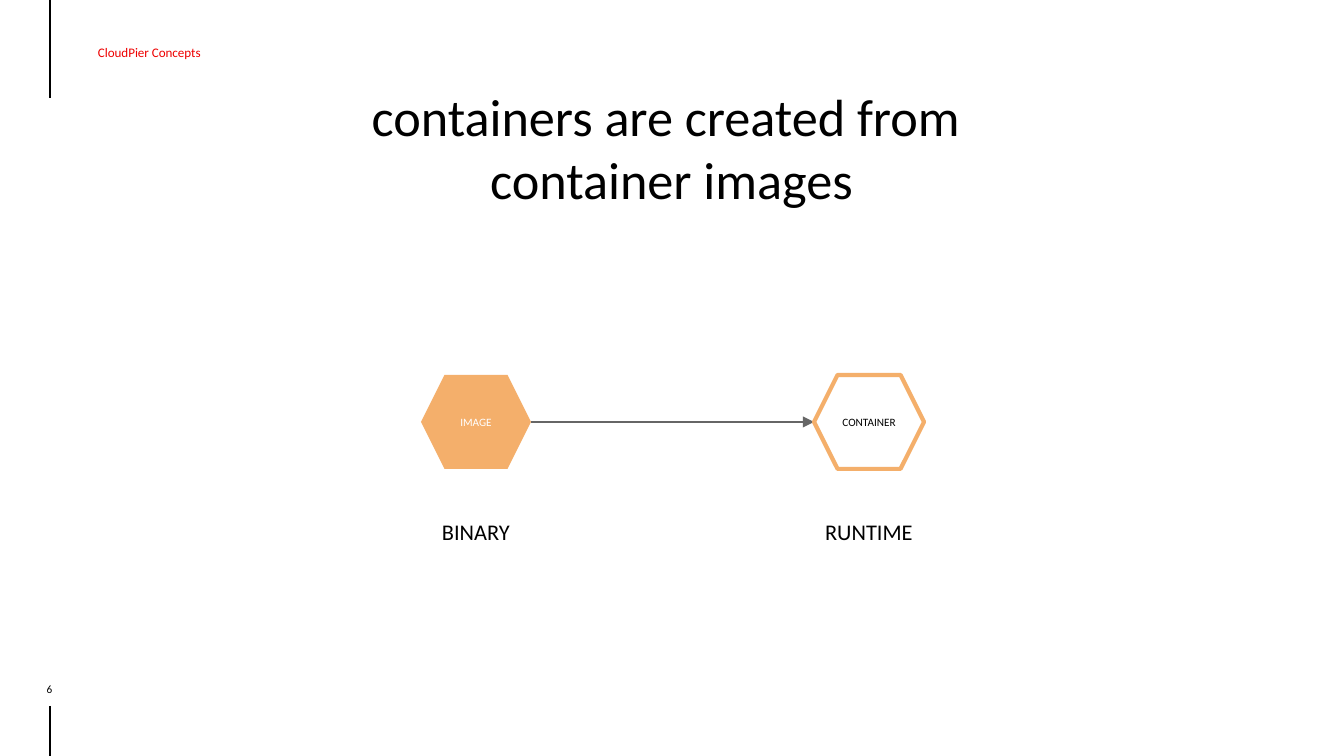
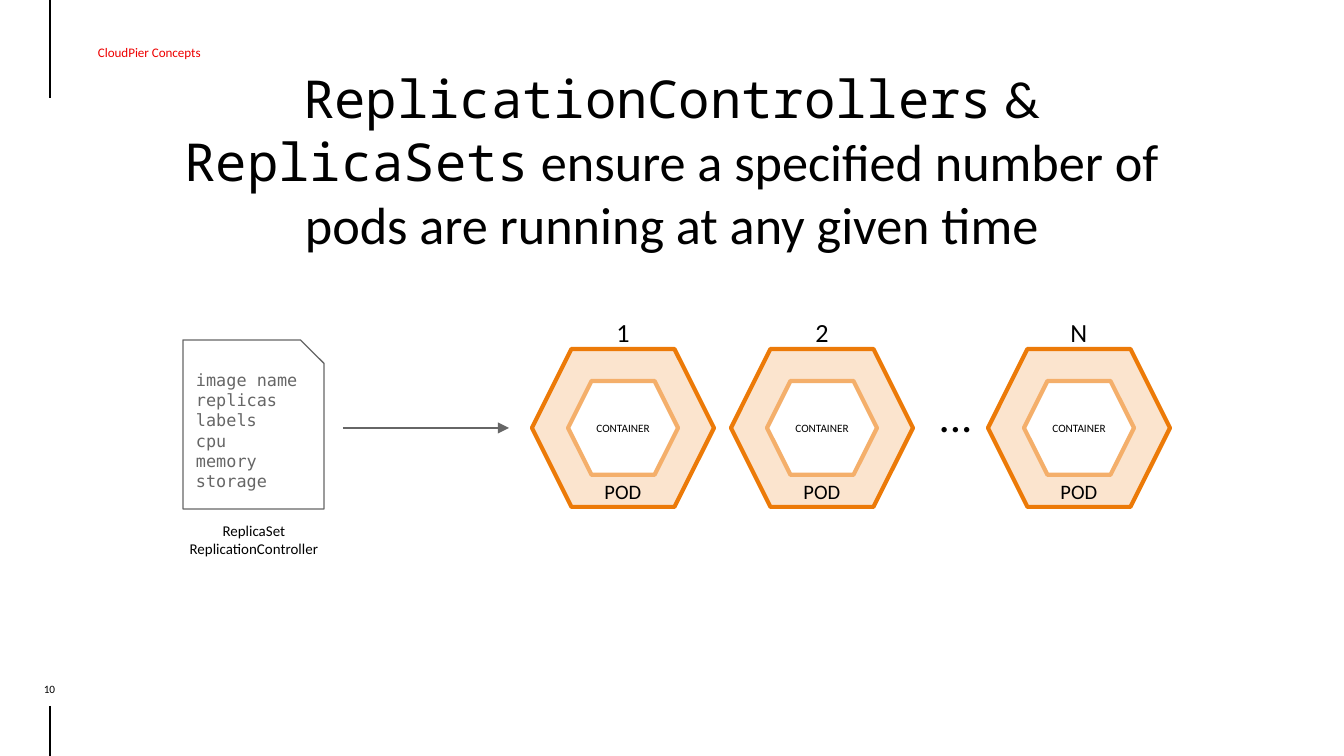
import pptx
import pptx.dml.color
import pptx.enum.shapes
import pptx.enum.text
import pptx.oxml
import pptx.oxml.ns
import pptx.util

SLIDE_W, SLIDE_H = 1344, 756
EMU_PER_PX = 9144000 / SLIDE_W

BLACK, WHITE, GREY = "000000", "FFFFFF", "666666"
RED, ORANGE, LIGHT_ORANGE, PALE_ORANGE = "EE0000", "EC7A08", "F4AF6B", "FBE4CE"
SANS, TITLE_MONO, CODE_MONO = "Calibri", "Noto Sans Mono", "DejaVu Sans Mono"

RULE_X = 50
PAD = 13
TITLE_LAYOUT = 5

SHAPE = pptx.enum.shapes.MSO_SHAPE
ANCHOR = pptx.enum.text.MSO_ANCHOR
ALIGN = pptx.enum.text.PP_ALIGN


def px(n):
    return pptx.util.Emu(round(n * EMU_PER_PX))


def rgb(value):
    return pptx.dml.color.RGBColor.from_string(value)


def format_font(font, size, color, name):
    font.size = pptx.util.Pt(size)
    font.color.rgb = rgb(color)
    font.name = name


def format_frame(tf, anchor, insets=(PAD,) * 4):
    """Insets run left, top, right, bottom."""
    tf.word_wrap = True
    tf.auto_size = pptx.enum.text.MSO_AUTO_SIZE.NONE
    tf.vertical_anchor = anchor
    tf.margin_left, tf.margin_top, tf.margin_right, tf.margin_bottom = map(px, insets)


def write(tf, text, size, color=BLACK, font=SANS, align=ALIGN.CENTER):
    tf.text = text
    for p in tf.paragraphs:
        p.alignment = align
        for r in p.runs:
            format_font(r.font, size, color, font)


def add_text(s, text, box, size, color=BLACK, align=ALIGN.CENTER,
             anchor=ANCHOR.MIDDLE, insets=(PAD,) * 4):
    tf = s.shapes.add_textbox(*map(px, box)).text_frame
    format_frame(tf, anchor, insets)
    write(tf, text, size, color, align=align)


def add_label(s, text, cx, cy, size, width=158, height=52):
    add_text(s, text, (cx - width // 2, cy - height // 2, width, height), size)


def add_line(s, x1, y1, x2, y2, color, arrow=False):
    line = s.shapes.add_connector(
        pptx.enum.shapes.MSO_CONNECTOR.STRAIGHT, px(x1), px(y1), px(x2), px(y2))
    line.line.color.rgb = rgb(color)
    line.line.width = pptx.util.Pt(0.75)
    if arrow:
        tail = pptx.oxml.parse_xml(
            f'<a:tailEnd {pptx.oxml.ns.nsdecls("a")} type="triangle"/>')
        line.line._get_or_add_ln().append(tail)
    effects = pptx.oxml.parse_xml(f'<a:effectLst {pptx.oxml.ns.nsdecls("a")}/>')
    line._element.spPr.append(effects)


def add_preset(s, kind, box, fill, outline, width):
    sp = s.shapes.add_shape(kind, *map(px, box))
    sp.shadow.inherit = False
    sp.fill.solid()
    sp.fill.fore_color.rgb = rgb(fill)
    if outline:
        sp.line.color.rgb = rgb(outline)
        sp.line.width = pptx.util.Pt(width)
    else:
        sp.line.fill.background()
    return sp


def add_hexagon(s, cx, cy, fill, outline=None, text="", color=BLACK, size=(110, 94)):
    w, h = size
    sp = add_preset(s, SHAPE.HEXAGON, (cx - w // 2, cy - h // 2, w, h),
                    fill, outline, 2.25)
    if text:
        format_frame(sp.text_frame, ANCHOR.MIDDLE, (0, 0, 0, 0))
        write(sp.text_frame, text, 6, color)


def add_container(s, cx, cy):
    add_hexagon(s, cx, cy, WHITE, LIGHT_ORANGE, "CONTAINER")


def add_pod(s, number, cx, cy):
    add_hexagon(s, cx, cy, PALE_ORANGE, ORANGE, size=(182, 158))
    add_container(s, cx, cy)
    add_label(s, "POD", cx, cy + 63, 11, 100)
    add_label(s, number, cx, cy - 96, 14, 102, 40)


def add_title(s, top, pieces):
    """Each piece is a text and its font; a newline in it is a line break."""
    title = s.shapes.title
    title.left, title.top, title.width, title.height = map(px, (121, top, 1101, 156))
    format_frame(title.text_frame, ANCHOR.BOTTOM)
    p = title.text_frame.paragraphs[0]
    p.alignment = ALIGN.CENTER
    for text, font in pieces:
        for i, line in enumerate(text.split("\n")):
            if i:
                p.add_line_break()
            r = p.add_run()
            r.text = line
            format_font(r.font, 28, BLACK, font)


def add_base_slide(prs, number, title_top, title):
    s = prs.slides.add_slide(prs.slide_layouts[TITLE_LAYOUT])
    for top, bottom in ((0, 98), (706, SLIDE_H)):
        add_line(s, RULE_X, top, RULE_X, bottom, BLACK)
    add_text(s, "CloudPier Concepts", (RULE_X, 7, 567, 90), 7, RED,
             align=ALIGN.LEFT, insets=(48, 9, 9, 9))
    add_text(s, number, (9, 680, 81, 16), 6, anchor=ANCHOR.BOTTOM, insets=(0, 0, 0, 0))
    add_title(s, title_top, title)
    return s


def build_image_slide(prs):
    s = add_base_slide(prs, "6", 67, [
        ("containers are created from \ncontainer images", SANS)])
    image_x, container_x, y = 476, 869, 422
    add_line(s, image_x + 55, y, container_x - 55, y, GREY, arrow=True)
    add_hexagon(s, image_x, y, LIGHT_ORANGE, text="IMAGE", color=WHITE)
    add_container(s, container_x, y)
    for text, cx in (("BINARY", image_x), ("RUNTIME", container_x)):
        add_label(s, text, cx, y + 110, 12)


def build_replica_slide(prs):
    s = add_base_slide(prs, "10", 112, [
        ("ReplicationControllers", TITLE_MONO),
        (" & ", SANS),
        ("ReplicaSets", TITLE_MONO),
        (" ensure a specified number of pods are running at any given time", SANS)])
    y = 428

    definition = add_preset(s, SHAPE.SNIP_1_RECTANGLE, (183, 340, 141, 169),
                            WHITE, GREY, 0.75)
    format_frame(definition.text_frame, ANCHOR.MIDDLE)
    write(definition.text_frame, "image name\nreplicas\nlabels\ncpu\nmemory\nstorage",
          9, GREY, CODE_MONO, ALIGN.LEFT)
    add_text(s, "ReplicaSet\nReplicationController", (164, 509, 180, 32), 8,
             anchor=ANCHOR.TOP)
    add_line(s, 343, y, 509, y, GREY, arrow=True)

    for number, cx in (("1", 623), ("2", 822), ("N", 1079)):
        add_pod(s, number, cx, y)
    add_text(s, "...", (921, 359, 69, 112), 24)


def main():
    prs = pptx.Presentation()
    prs.slide_width, prs.slide_height = px(SLIDE_W), px(SLIDE_H)
    build_image_slide(prs)
    build_replica_slide(prs)
    prs.save("out.pptx")


if __name__ == "__main__":
    main()
